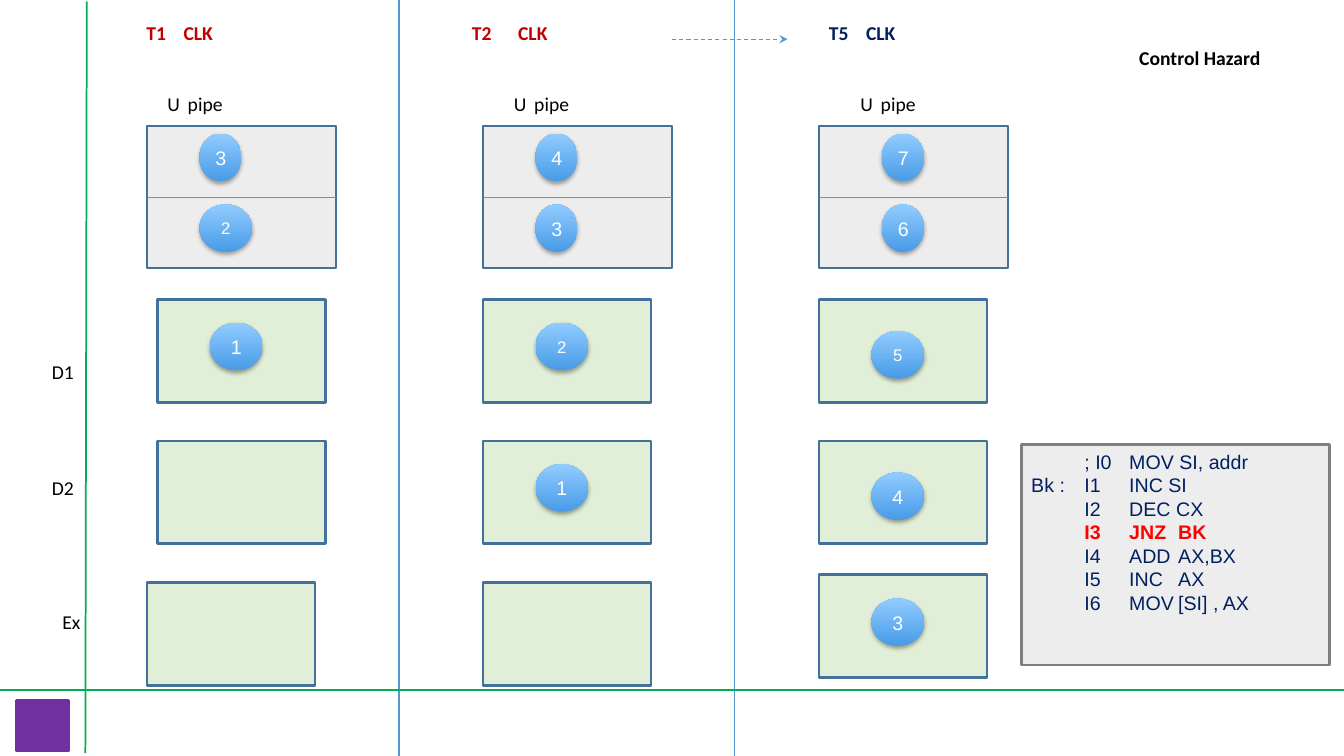
from dataclasses import dataclass

from lxml.etree import SubElement
from pptx import Presentation
from pptx.dml.color import RGBColor
from pptx.enum.dml import MSO_LINE
from pptx.enum.shapes import MSO_CONNECTOR, MSO_SHAPE
from pptx.enum.text import MSO_ANCHOR, MSO_AUTO_SIZE, PP_ALIGN
from pptx.oxml.ns import qn
from pptx.util import Pt

COLORS = {
    "black": "000000", "white": "FFFFFF", "red": "C00000", "navy": "002060",
    "jump": "FF0000", "fetch": "EDEDED", "stage": "E1EFD8", "outline": "42719B",
    "rule": "5597D3", "axis": "00B050", "grey": "7F7F7F", "purple": "7030A0",
    "badge_dark": "489BE7", "badge_light": "91CCFF",
}
WIDTH, HEIGHT = 960, 540
COLUMN_LEFT, COLUMN_PITCH, COLUMN_WIDTH = 105, 240, 135
FETCH_TOP, FETCH_HEIGHT = 90, 101.5
STAGE_WIDTH, STAGE_HEIGHT = 120, 73.5
BADGE_WIDTH, NARROW_BADGE, BADGE_HEIGHT = 37.5, 30, 34
AXIS_X, AXIS_Y = 61.5, 493


@dataclass
class Badge:
    number: str
    left: float
    top: float
    width: float = BADGE_WIDTH
    size: int = 14


@dataclass
class Clock:
    name: str
    color: str
    name_shift: float
    tab: float
    fetch: list
    stages: list  # (left, top, badge or None), relative to the column


CLOCKS = [
    Clock("T1", "red", -7.5, 26.5,
          [Badge("3", 37.5, 5.5, NARROW_BADGE), Badge("2", 37.5, 56, size=12)],
          [(7.5, 214, Badge("1", 37.5, 16.5)), (7.5, 315, None), (0, 416, None)]),
    Clock("T2", "red", -15, 33,
          [Badge("4", 37.5, 5.5, NARROW_BADGE), Badge("3", 37.5, 56, NARROW_BADGE)],
          [(0, 214, Badge("2", 37.5, 16.5, size=12)),
           (0, 315, Badge("1", 37.5, 16.5)), (0, 416, None)]),
    Clock("T5", "navy", 0, 26.5,
          [Badge("7", 45, 5.5, NARROW_BADGE), Badge("6", 45, 56, NARROW_BADGE)],
          [(0, 214, Badge("5", 37.5, 22.5, size=12)),
           (0, 315, Badge("4", 37.5, 22.5)), (0, 410.5, Badge("3", 37.5, 17))]),
]
STAGE_LABELS = [("D1", 30, 253.5), ("D2", 30, 336.5), ("Ex", 37.5, 432)]
CODE = [
    "\t; I0\tMOV SI, addr",
    "Bk :\tI1\tINC SI",
    "\tI2\tDEC CX",
    "\tI3\tJNZ\tBK",
    "\tI4\tADD\tAX,BX",
    "\tI5\tINC\tAX",
    "\tI6\tMOV\t[SI] , AX",
]
JUMP_LINE = 3


def rgb(name):
    return RGBColor.from_string(COLORS[name])


def write(paragraph, text, size=14, font="Calibri", color="black", bold=False,
          align=PP_ALIGN.LEFT, tabs=()):
    paragraph.alignment = align
    if tabs:
        tab_list = SubElement(paragraph._p.get_or_add_pPr(), qn("a:tabLst"))
        for position in tabs:
            SubElement(tab_list, qn("a:tab"), pos=str(int(Pt(position))), algn="l")
    run = paragraph.add_run()
    run.text = text
    run.font.size = Pt(size)
    run.font.name = font
    run.font.bold = bold
    run.font.color.rgb = rgb(color)


def set_frame(frame, anchor=MSO_ANCHOR.TOP):
    frame.word_wrap = True
    frame.auto_size = MSO_AUTO_SIZE.NONE
    frame.vertical_anchor = anchor


def add_label(slide, text, left, top, width, **formats):
    box = slide.shapes.add_textbox(Pt(left), Pt(top), Pt(width), Pt(29))
    set_frame(box.text_frame)
    write(box.text_frame.paragraphs[0], text, **formats)


def add_box(slide, left, top, width, height, fill, line):
    shape = slide.shapes.add_shape(MSO_SHAPE.RECTANGLE, Pt(left), Pt(top), Pt(width), Pt(height))
    shape.shadow.inherit = False
    shape.fill.solid()
    shape.fill.fore_color.rgb = rgb(fill)
    shape.line.color.rgb = rgb(line)
    shape.line.width = Pt(2)
    return shape


def add_line(slide, start_x, start_y, end_x, end_y, color="rule", width=0.75):
    connector = slide.shapes.add_connector(
        MSO_CONNECTOR.STRAIGHT, Pt(start_x), Pt(start_y), Pt(end_x), Pt(end_y))
    connector.line.color.rgb = rgb(color)
    connector.line.width = Pt(width)
    SubElement(connector._element.spPr, qn("a:effectLst"))
    return connector


def add_badge(slide, badge, box_left, box_top):
    shape = slide.shapes.add_shape(
        MSO_SHAPE.OVAL, Pt(box_left + badge.left), Pt(box_top + badge.top),
        Pt(badge.width), Pt(BADGE_HEIGHT))
    shape.fill.gradient()
    shape.fill.gradient_angle = 90
    for stop, color in zip(shape.fill.gradient_stops, ("badge_dark", "badge_light")):
        stop.color.rgb = rgb(color)
    shape.line.fill.background()
    shape.shadow.inherit = False
    effects = shape._element.spPr.find(qn("a:effectLst"))
    shadow = SubElement(effects, qn("a:outerShdw"), blurRad=str(int(Pt(3.1))),
                        dist=str(int(Pt(1.8))), dir="5400000", rotWithShape="0")
    shadow_color = SubElement(shadow, qn("a:srgbClr"), val=COLORS["black"])
    SubElement(shadow_color, qn("a:alpha"), val="35000")
    set_frame(shape.text_frame, MSO_ANCHOR.MIDDLE)
    write(shape.text_frame.paragraphs[0], badge.number, size=badge.size, font="Arial",
          color="white", align=PP_ALIGN.CENTER)


def add_clock_column(slide, clock, left, pipe_shift):
    add_label(slide, f"{clock.name}\tCLK", left + clock.name_shift, 11.5, COLUMN_WIDTH,
              color=clock.color, bold=True, tabs=[clock.tab])
    add_label(slide, "U\tpipe", left + pipe_shift, 62, 90, tabs=[14.5])
    fetch = add_box(slide, left, FETCH_TOP, COLUMN_WIDTH, FETCH_HEIGHT, "fetch", "outline")
    middle = FETCH_TOP + FETCH_HEIGHT / 2
    divider = add_line(slide, left, middle, left + COLUMN_WIDTH, middle)
    divider.begin_connect(fetch, 1)
    divider.end_connect(fetch, 3)
    for badge in clock.fetch:
        add_badge(slide, badge, left, FETCH_TOP)
    for shift, top, badge in clock.stages:
        add_box(slide, left + shift, top, STAGE_WIDTH, STAGE_HEIGHT, "stage", "outline")
        if badge:
            add_badge(slide, badge, left + shift, top)


def add_code_panel(slide, left, top, width, height):
    panel = add_box(slide, left, top, width, height, "fetch", "grey")
    frame = panel.text_frame
    set_frame(frame)
    for index, text in enumerate(CODE):
        paragraph = frame.paragraphs[0] if index == 0 else frame.add_paragraph()
        jump = index == JUMP_LINE
        write(paragraph, text, font="Arial", color="jump" if jump else "navy",
              bold=jump, tabs=[38, 70, 105])


def add_title(slide, text, left, top, width, height):
    title = slide.shapes.title
    title.left, title.top, title.width, title.height = map(Pt, (left, top, width, height))
    set_frame(title.text_frame)
    write(title.text_frame.paragraphs[0], text, bold=True)


def add_axes(slide):
    for index in range(len(CLOCKS) - 1):
        x = 285 + index * COLUMN_PITCH
        add_line(slide, x, 0, x, HEIGHT)
    add_line(slide, AXIS_X + 0.5, 1, AXIS_X - 0.5, 538, "axis", 1.25)
    add_line(slide, 0, AXIS_Y, WIDTH, AXIS_Y, "axis", 1.25)
    for text, left, top in STAGE_LABELS:
        add_label(slide, text, left, top, 35)
    arrow = add_line(slide, 480, 28, 562.5, 28)
    arrow.line.dash_style = MSO_LINE.DASH
    SubElement(arrow.line._get_or_add_ln(), qn("a:tailEnd"), type="stealth")


def main():
    presentation = Presentation()
    presentation.slide_width, presentation.slide_height = Pt(WIDTH), Pt(HEIGHT)
    slide = presentation.slides.add_slide(presentation.slide_layouts[5])
    add_title(slide, "Control Hazard", 806.5, 29.5, 126.5, 29)
    for index, clock in enumerate(CLOCKS):
        add_clock_column(slide, clock, COLUMN_LEFT + index * COLUMN_PITCH, 7.5 * (index + 1))
    add_code_panel(slide, 729.5, 317.5, 220, 157.5)
    add_axes(slide)
    add_box(slide, 11.5, 500.5, 37.5, 36, "purple", "purple")
    presentation.save("out.pptx")


if __name__ == "__main__":
    main()
